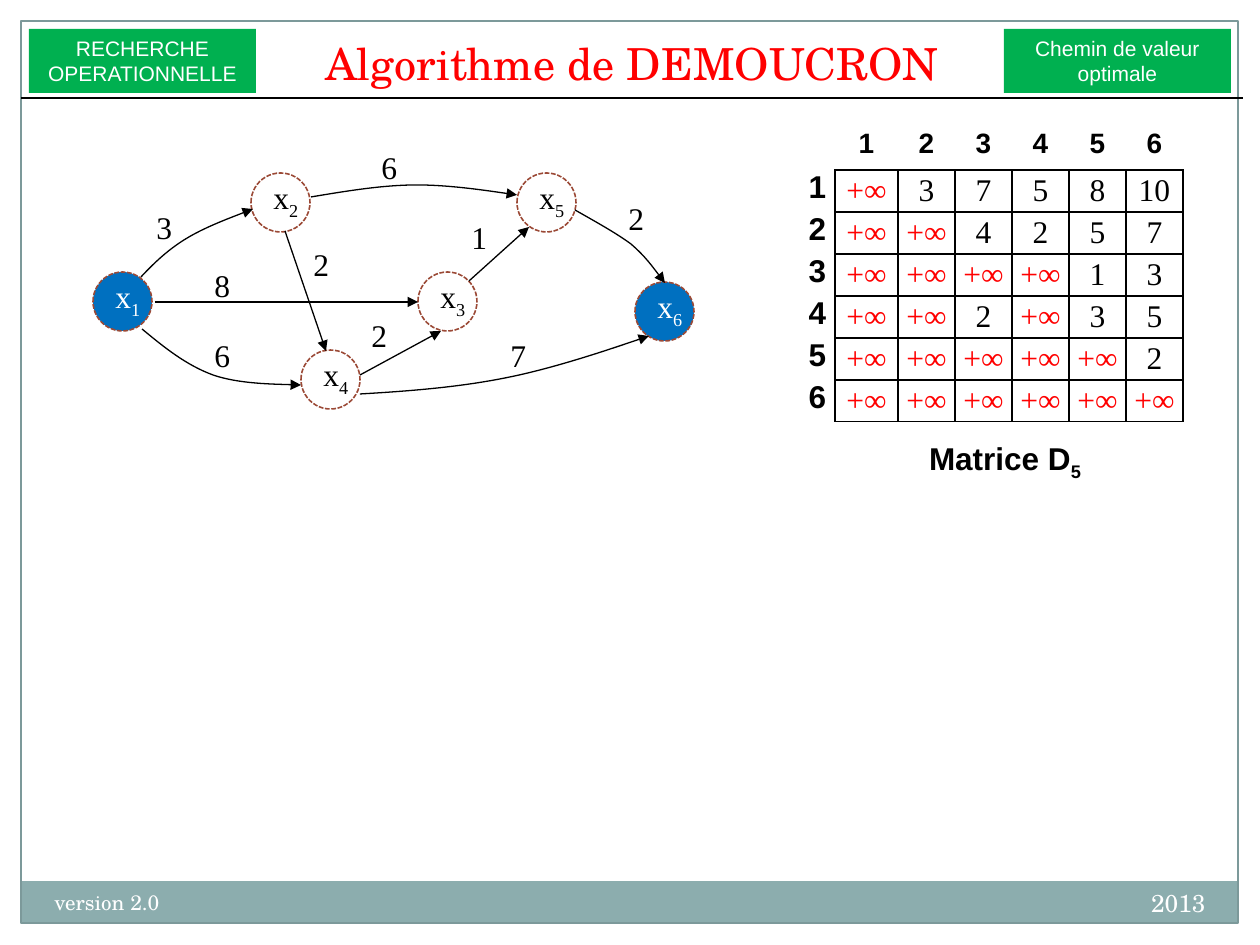
from lxml.etree import SubElement
from pptx import Presentation
from pptx.dml.color import RGBColor
from pptx.enum.dml import MSO_LINE
from pptx.enum.shapes import MSO_CONNECTOR, MSO_SHAPE
from pptx.enum.text import MSO_ANCHOR, MSO_AUTO_SIZE, PP_ALIGN
from pptx.oxml.ns import qn
from pptx.util import Pt

SCALE = 914400 / 126
SERIF, SANS, SCHOOL = "Times New Roman", "Arial", "TeX Gyre Schola"
NO_GRID = "{2D5ABB26-0587-4C30-8999-92F81FD0307C}"
COLORS = {
    "black": "000000", "white": "FFFFFF", "red": "FF0000", "green": "00B050",
    "blue": "0070C0", "brown": "9B4936", "bar": "8CADAE", "frame": "7C999A",
}
NODES = [("1", 0, 130), ("2", 158, 31), ("3", 325, 130),
         ("4", 208, 208), ("5", 424, 31), ("6", 542, 140)]
END_NODES = {"1", "6"}
EDGES = [
    [(62, 160), (325, 160)],
    [(192, 89), (233, 209)],
    [(376, 139), (436, 85)],
    [(267, 233), (348, 189)],
    [(48, 135), (62, 120), (77, 106), (96, 95), (115, 84), (160, 67), (160, 67)],
    [(49, 187), (72, 206), (93, 223), (120, 233), (146, 242), (208, 243), (208, 243)],
    [(218, 55), (254, 49), (290, 43), (324, 43), (358, 43), (424, 53), (424, 53)],
    [(267, 252), (319, 249), (369, 245), (417, 235), (466, 225), (556, 194), (556, 194)],
    [(482, 68), (503, 80), (523, 91), (538, 102), (553, 115), (572, 141), (572, 141)],
]
WEIGHTS = [("3", 51, 60), ("1", 366, 70), ("6", 109, 188), ("8", 109, 118), ("6", 276, 0),
           ("2", 208, 97), ("2", 266, 168), ("7", 405, 188), ("2", 523, 51)]
INF = "+∞"
MATRIX = [
    [INF, "3", "7", "5", "8", "10"],
    [INF, INF, "4", "2", "5", "7"],
    [INF, INF, INF, INF, "1", "3"],
    [INF, INF, "2", INF, "3", "5"],
    [INF, INF, INF, INF, INF, "2"],
    [INF] * 6,
]


def px(n):
    return round(n * SCALE)


def emu(*lengths):
    return [px(n) for n in lengths]


def rgb(name):
    return RGBColor.from_string(COLORS[name])


def format_paragraph(p, font, size, color, align=PP_ALIGN.LEFT, bold=False):
    p.alignment = align
    p.font.name, p.font.size, p.font.bold = font, Pt(size), bold
    p.font.color.rgb = rgb(color)


def add_text(shapes, box, text, font, size, color, align=PP_ALIGN.LEFT, bold=False, sub=None):
    tf = shapes.add_textbox(*emu(*box)).text_frame
    tf.word_wrap = True
    p = tf.paragraphs[0]
    p.add_run().text = text
    if sub:
        r = p.add_run()
        r.text = sub
        r._r.get_or_add_rPr().set("baseline", "-25000")
    format_paragraph(p, font, size, color, align, bold)


def add_box(shapes, kind, box, fill=None, line=None, width=0.75):
    sp = shapes.add_shape(kind, *emu(*box))
    sp.shadow.inherit = False
    if fill:
        sp.fill.solid()
        sp.fill.fore_color.rgb = rgb(fill)
    else:
        sp.fill.background()
    if line:
        sp.line.color.rgb = rgb(line)
        sp.line.width = Pt(width)
    else:
        sp.line.fill.background()
    return sp


def style_line(sp, arrow=False):
    sp.line.color.rgb = rgb("black")
    sp.line.width = Pt(0.75)
    if arrow:
        SubElement(sp.line._get_or_add_ln(), qn("a:tailEnd"), type="triangle")
    SubElement(sp._element.spPr, qn("a:effectLst"))


def add_straight(shapes, start, end, arrow=False):
    line = shapes.add_connector(MSO_CONNECTOR.STRAIGHT, *emu(*start, *end))
    style_line(line, arrow)


def add_curve(shapes, left, top, points):
    builder = shapes.build_freeform(*points[0], scale=SCALE)
    builder.add_line_segments(points[1:], close=False)
    sp = builder.convert_to_shape(px(left), px(top))
    sp.fill.background()
    outline = next(sp._element.iter(qn("a:path")))
    steps = outline.findall(qn("a:lnTo"))
    for i in range(0, len(steps), 3):
        bezier = SubElement(outline, qn("a:cubicBezTo"))
        for step in steps[i:i + 3]:
            bezier.append(step[0])
            outline.remove(step)
    style_line(sp, arrow=True)


def add_frame(slide, left, top, width, height):
    shapes = slide.shapes
    add_box(shapes, MSO_SHAPE.RECTANGLE, (left, top + 860, width, 43), "bar")
    add_box(shapes, MSO_SHAPE.RECTANGLE, (left, top, width, height), line="frame")
    add_text(shapes, (left + 777, top + 861, 420, 50), "2013", SCHOOL, 14, "white", PP_ALIGN.RIGHT)
    add_text(shapes, (left + 21, top + 862, 494, 50), "version 2.0", SCHOOL, 12, "white")


def add_header(slide, left, top, width, height):
    title = slide.shapes.title
    title.left, title.top, title.width, title.height = emu(left + 227, top, 752, 67)
    tf = title.text_frame
    tf.text = "Algorithme de DEMOUCRON"
    tf.auto_size = MSO_AUTO_SIZE.NONE
    tf.vertical_anchor = MSO_ANCHOR.BOTTOM
    format_paragraph(tf.paragraphs[0], SCHOOL, 25.2, "red", PP_ALIGN.CENTER)
    tag_width = 227
    tags = [(left + width - tag_width, "Chemin de valeur\noptimale"),
            (left, "RECHERCHE\nOPERATIONNELLE")]
    for x, text in tags:
        tag = add_box(slide.shapes, MSO_SHAPE.RECTANGLE, (x, top, tag_width, 64), "green")
        tag.text_frame.text = text
        for p in tag.text_frame.paragraphs:
            format_paragraph(p, SANS, 12, "white", PP_ALIGN.CENTER)
    add_straight(slide.shapes, (left - 8, top + height), (left + width + 12, top + height))


def add_graph(slide, left, top):
    shapes = slide.shapes.add_group_shape().shapes
    for name, x, y in NODES:
        is_end = name in END_NODES
        node = add_box(shapes, MSO_SHAPE.OVAL, (left + x, top + y, 59, 59),
                       "blue" if is_end else None, "brown", 0.9)
        node.line.dash_style = MSO_LINE.SQUARE_DOT
        add_text(shapes, (left + x + 10, top + y - 1, 69, 50), "x", SERIF, 18,
                 "white" if is_end else "black", sub=name)
    for points in EDGES:
        if len(points) == 2:
            start, end = [(left + x, top + y) for x, y in points]
            add_straight(shapes, start, end, arrow=True)
        else:
            add_curve(shapes, left, top, points)
    for weight, x, y in WEIGHTS:
        add_text(shapes, (left + x, top + y, 59, 50), weight, SERIF, 18, "black")


def fill_cell(cell, text, font, size, color, align, bold=False):
    cell.margin_left = cell.margin_right = 0 if font == SERIF else px(9)
    cell.margin_top = cell.margin_bottom = 0
    cell.text = text
    format_paragraph(cell.text_frame.paragraphs[0], font, size, color, align, bold)
    if font == SERIF:
        cell.vertical_anchor = MSO_ANCHOR.MIDDLE
        for side in ("lnL", "lnR", "lnT", "lnB"):
            ln = SubElement(cell._tc.get_or_add_tcPr(), qn("a:" + side), w=str(Pt(1)))
            SubElement(SubElement(ln, qn("a:solidFill")), qn("a:srgbClr"), val=COLORS["black"])
    cell.fill.background()


def add_matrix(slide, left, top):
    widths, row_height = [98, 63] + [57] * 5, 42
    count = len(MATRIX) + 1
    frame = slide.shapes.add_table(count, count,
                                   *emu(left, top, sum(widths), count * row_height))
    table = frame.table
    table.first_row = table.horz_banding = False
    next(table._tbl.iter(qn("a:tableStyleId"))).text = NO_GRID
    for col, width in zip(table.columns, widths):
        col.width = px(width)
    for row in table.rows:
        row.height = px(row_height)
    fill_cell(table.cell(0, 0), "", SANS, 16, "black", PP_ALIGN.CENTER)
    for i, values in enumerate(MATRIX, 1):
        fill_cell(table.cell(0, i), str(i), SANS, 16, "black", PP_ALIGN.CENTER, True)
        fill_cell(table.cell(i, 0), str(i), SANS, 18, "black", PP_ALIGN.RIGHT, True)
        for j, value in enumerate(values, 1):
            color = "red" if value == INF else "black"
            fill_cell(table.cell(i, j), value, SERIF, 18, color, PP_ALIGN.CENTER)
    add_text(slide.shapes, (left + 96, top + 305, 344, 50), "Matrice D", SANS, 18, "black",
             PP_ALIGN.CENTER, True, sub="5")


def main():
    prs = Presentation()
    prs.slide_width, prs.slide_height = emu(1260, 945)
    slide = prs.slides.add_slide(prs.slide_layouts[5])
    add_frame(slide, 21, 21, 1217, 902)
    add_header(slide, 29, 29, 1202, 69)
    add_graph(slide, 93, 142)
    add_matrix(slide, 737, 128)
    prs.save("out.pptx")


if __name__ == "__main__":
    main()
